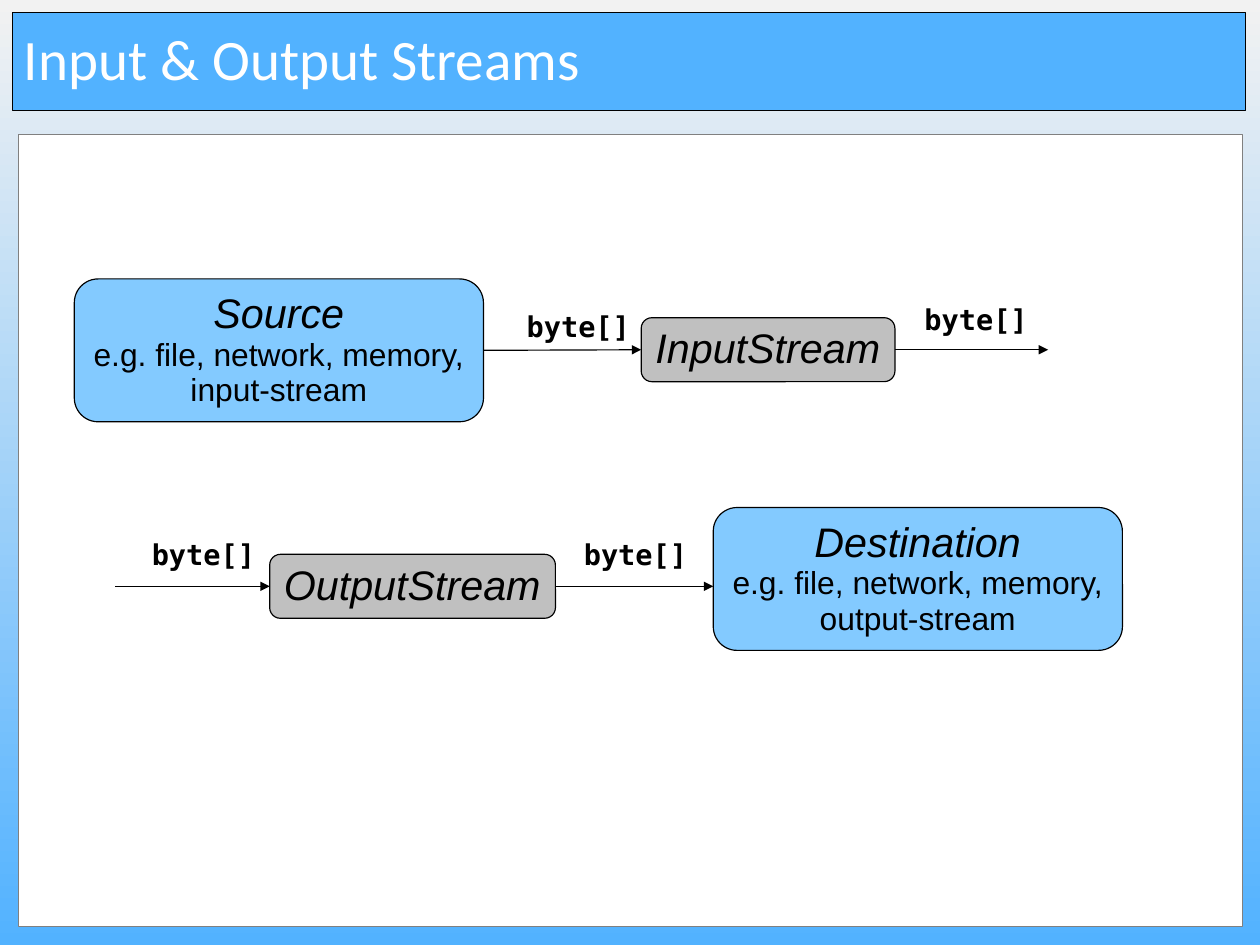
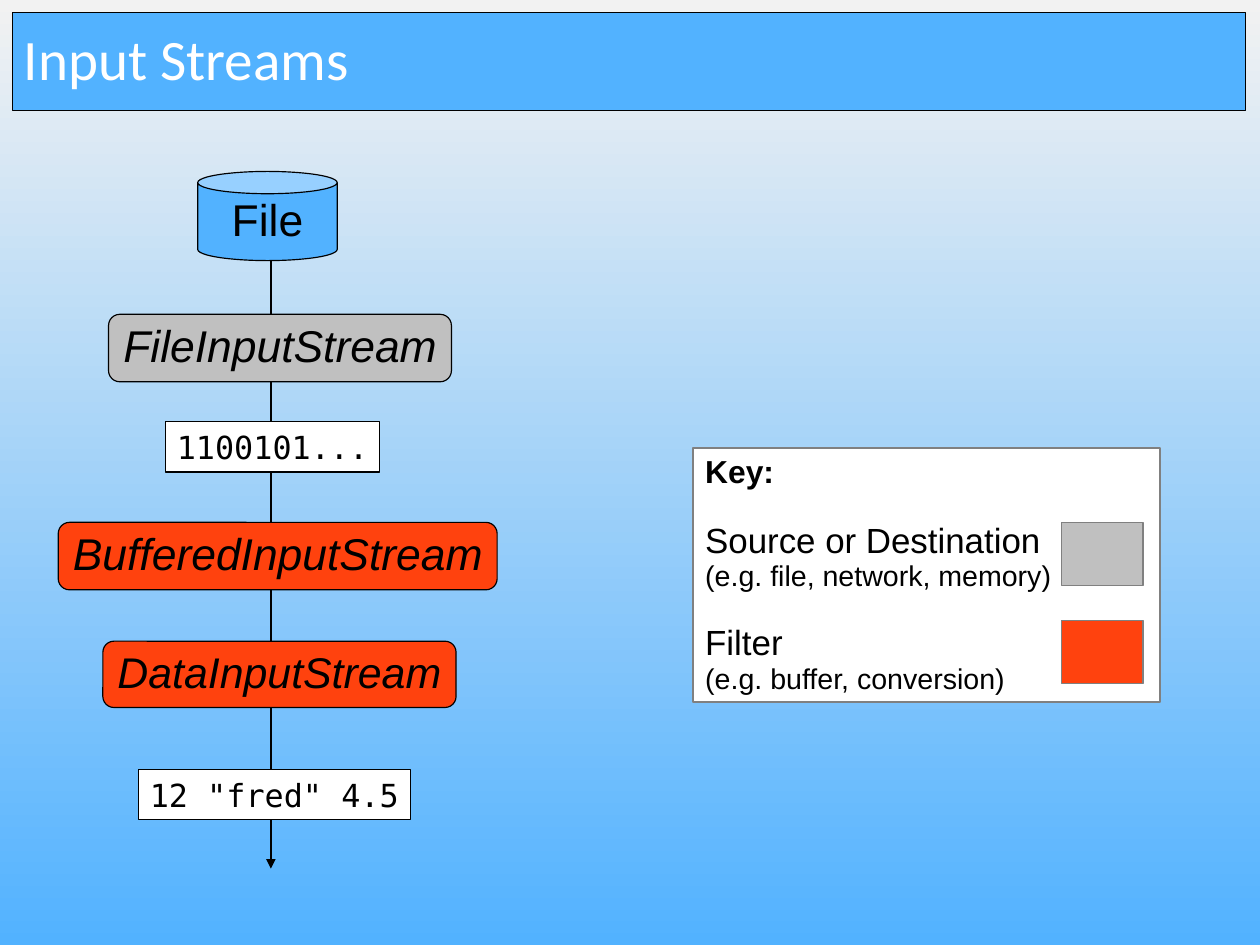
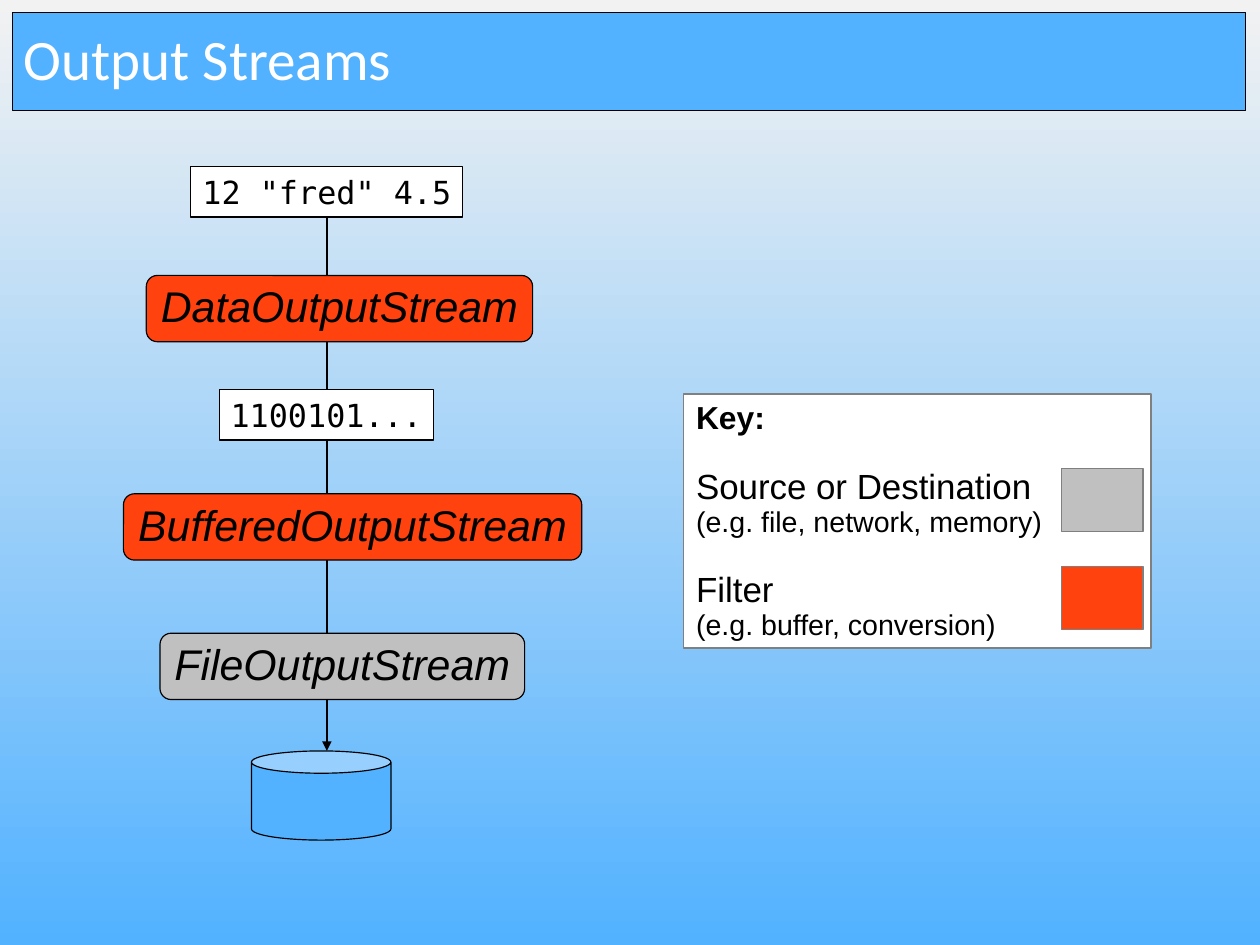
from lxml import etree
from pptx import Presentation
from pptx.dml.color import RGBColor
from pptx.enum.shapes import MSO_CONNECTOR, MSO_SHAPE
from pptx.enum.text import MSO_ANCHOR, MSO_AUTO_SIZE, PP_ALIGN
from pptx.oxml.ns import qn
from pptx.util import Cm, Inches, Pt

RECT = MSO_SHAPE.RECTANGLE
ROUNDED = MSO_SHAPE.ROUNDED_RECTANGLE
CAN = MSO_SHAPE.CAN
STRAIGHT = MSO_CONNECTOR.STRAIGHT
LEFT, CENTER = PP_ALIGN.LEFT, PP_ALIGN.CENTER
TOP, MIDDLE = MSO_ANCHOR.TOP, MSO_ANCHOR.MIDDLE
NO_AUTOFIT = MSO_AUTO_SIZE.NONE

# Connection sites of a rectangle
SITE_LEFT, SITE_BOTTOM, SITE_RIGHT = 1, 2, 3

BLACK, WHITE = "000000", "FFFFFF"
EDGE_GREY, PALE_GREY = "808080", "F2F2F2"
BLUE, LIGHT_BLUE = "52B2FF", "83CAFF"
ENDPOINT_GREY, FILTER_ORANGE = "C0C0C0", "FF420E"

SANS, MONO, TITLE_FONT = "Arial", "DejaVu Sans Mono", "Calibri"
LINE_SPACING = 0.93
THIN, MEDIUM = 0.75, 1.13
TITLE_AT = (0.11, 0.11, 10.79, 0.86)
TITLE_ONLY = 5


def rgb(hex_colour):
    return RGBColor.from_string(hex_colour)


def place(at):
    return [Inches(length) for length in at]


# Shared look
def set_background(master):
    fill = master.background.fill
    fill.gradient()
    fill.gradient_angle = 270
    for stop, colour in zip(fill.gradient_stops, (PALE_GREY, BLUE)):
        stop.color.rgb = rgb(colour)


def paint(shape, fill, edge=BLACK, width=THIN):
    shape.fill.solid()
    shape.fill.fore_color.rgb = rgb(fill)
    shape.line.color.rgb = rgb(edge)
    shape.line.width = Pt(width)


def style(paragraph, size, font=SANS, colour=BLACK, bold=False, italic=False,
          align=LEFT, spacing=LINE_SPACING):
    paragraph.alignment = align
    paragraph.line_spacing = spacing
    paragraph.font.name = font
    paragraph.font.size = Pt(size)
    paragraph.font.color.rgb = rgb(colour)
    paragraph.font.bold = bold
    paragraph.font.italic = italic


def write(shape, lines, anchor=MIDDLE):
    """Fill a shape with lines, each a text and its style settings."""
    frame = shape.text_frame
    frame.word_wrap = False
    frame.auto_size = NO_AUTOFIT
    frame.vertical_anchor = anchor
    frame.text = "\n".join(text for text, _ in lines)
    for paragraph, (_, settings) in zip(frame.paragraphs, lines):
        style(paragraph, **settings)


def add_titled_slide(prs, heading):
    slide = prs.slides.add_slide(prs.slide_layouts[TITLE_ONLY])
    title = slide.shapes.title
    title.left, title.top, title.width, title.height = place(TITLE_AT)
    paint(title, BLUE)
    write(title, [(heading, dict(size=36, font=TITLE_FONT, colour=WHITE))])
    return slide


# Diagram elements
def add_box(slide, kind, at, fill, edge=BLACK, width=THIN):
    box = slide.shapes.add_shape(kind, *place(at))
    box.shadow.inherit = False
    paint(box, fill, edge, width)
    return box


def add_stream(slide, at, fill, class_name, size):
    stream = add_box(slide, ROUNDED, at, fill)
    write(stream, [(class_name, dict(size=size, italic=True, align=CENTER))])
    return stream


def add_endpoint(slide, left, top, role, last_example):
    endpoint = add_box(slide, ROUNDED, (left, top, 3.58, 1.25), LIGHT_BLUE)
    example = dict(size=20, align=CENTER)
    write(endpoint, [(role, dict(size=26, italic=True, align=CENTER)),
                     ("e.g. file, network, memory,", example),
                     (last_example, example)])
    return endpoint


def add_data(slide, left, top, width, content):
    data = add_box(slide, RECT, (left, top, width, 0.44), WHITE)
    write(data, [(content, dict(size=20, font=MONO, align=CENTER, spacing=1.0))])
    return data


def add_byte_label(slide, left, top):
    label = slide.shapes.add_textbox(*place((left, top, 1.1, 0.4)))
    write(label, [("byte[]", dict(size=18, font=MONO, bold=True, spacing=1.0))], TOP)


def add_file(slide, left, top, caption=None):
    store = add_box(slide, CAN, (left, top, 1.22, 0.78), BLUE)
    if caption:
        write(store, [(caption, dict(size=28, align=CENTER))])


def add_arrow(slide, start, end, width=THIN, source=None, target=None):
    arrow = slide.shapes.add_connector(STRAIGHT, *place(start + end))
    arrow.line.color.rgb = rgb(BLACK)
    arrow.line.width = Pt(width)
    etree.SubElement(arrow.line._get_or_add_ln(), qn("a:tailEnd"), type="triangle")
    etree.SubElement(arrow._element.spPr, qn("a:effectLst"))
    if source:
        arrow.begin_connect(source, SITE_RIGHT)
    if target:
        arrow.end_connect(target, SITE_LEFT)
    return arrow


def add_key(slide, left, top):
    panel = add_box(slide, RECT, (left, top, 4.09, 2.22), WHITE, EDGE_GREY, MEDIUM)
    term, note = dict(size=22), dict(size=18)
    write(panel, [("Key:", dict(size=20, bold=True)),
                  ("Source or Destination", term),
                  ("(e.g. file, network, memory)", note),
                  ("Filter", term),
                  ("(e.g. buffer, conversion)", note)], TOP)
    frame = panel.text_frame
    frame.margin_left = frame.margin_right = Inches(0.11)
    frame.margin_top = frame.margin_bottom = Inches(0.06)
    for entry in (1, 3):
        frame.paragraphs[entry].space_before = Pt(20)
    for offset, colour in ((0.65, ENDPOINT_GREY), (1.51, FILTER_ORANGE)):
        add_box(slide, RECT, (9.29, top + offset, 0.71, 0.55), colour, EDGE_GREY)


# Slides
def build_overview(prs):
    slide = add_titled_slide(prs, "Input & Output Streams")
    add_box(slide, RECT, (0.16, 1.18, 10.71, 6.93), WHITE, EDGE_GREY)

    # Reading row
    axis = 3.06
    source = add_endpoint(slide, 0.65, axis - 0.62, "Source", "input-stream")
    reader = add_stream(slide, (5.61, axis - 0.28, 2.22, 0.56),
                        ENDPOINT_GREY, "InputStream", 26)
    add_arrow(slide, (4.23, axis), (5.61, axis), source=source, target=reader)
    add_arrow(slide, (7.83, axis), (9.17, axis), source=reader)

    # Writing row
    axis = 5.13
    writer = add_stream(slide, (2.36, axis - 0.28, 2.5, 0.56),
                        ENDPOINT_GREY, "OutputStream", 26)
    add_endpoint(slide, 6.24, 4.44, "Destination", "output-stream")
    add_arrow(slide, (1.01, axis), (2.36, axis), target=writer)
    add_arrow(slide, (4.86, axis), (6.24, axis), source=writer)

    for left, top in ((4.51, 2.65), (7.99, 2.59), (1.23, 4.65), (5.01, 4.65)):
        add_byte_label(slide, left, top)


def build_input(prs):
    slide = add_titled_slide(prs, "Input Streams")
    add_arrow(slide, (2.37, 2.28), (2.37, 7.6), MEDIUM)
    add_file(slide, 1.73, 1.5, "File")
    add_stream(slide, (0.95, 2.75, 3, 0.59), ENDPOINT_GREY, "FileInputStream", 28)
    add_data(slide, 1.45, 3.69, 1.87, "1100101...")
    add_stream(slide, (0.51, 4.57, 3.84, 0.59), FILTER_ORANGE,
               "BufferedInputStream", 28)
    add_stream(slide, (0.9, 5.61, 3.09, 0.58), FILTER_ORANGE, "DataInputStream", 27)
    add_data(slide, 1.21, 6.73, 2.38, '12 "fred" 4.5')
    add_key(slide, 6.06, 3.92)


def build_output(prs):
    slide = add_titled_slide(prs, "Output Streams")
    flow = add_arrow(slide, (2.86, 1.9), (2.86, 6.57), MEDIUM)
    values = add_data(slide, 1.67, 1.46, 2.38, '12 "fred" 4.5')
    flow.begin_connect(values, SITE_BOTTOM)
    add_stream(slide, (1.28, 2.41, 3.38, 0.58), FILTER_ORANGE, "DataOutputStream", 27)
    add_data(slide, 1.92, 3.41, 1.87, "1100101...")
    add_stream(slide, (1.08, 4.32, 4.01, 0.58), FILTER_ORANGE,
               "BufferedOutputStream", 27)
    add_stream(slide, (1.4, 5.54, 3.19, 0.58), ENDPOINT_GREY, "FileOutputStream", 27)
    add_file(slide, 2.2, 6.57)
    add_key(slide, 5.98, 3.45)


def main():
    prs = Presentation()
    prs.slide_width, prs.slide_height = Cm(28), Cm(21)
    set_background(prs.slide_master)
    build_overview(prs)
    build_input(prs)
    build_output(prs)
    prs.save("out.pptx")


if __name__ == "__main__":
    main()
